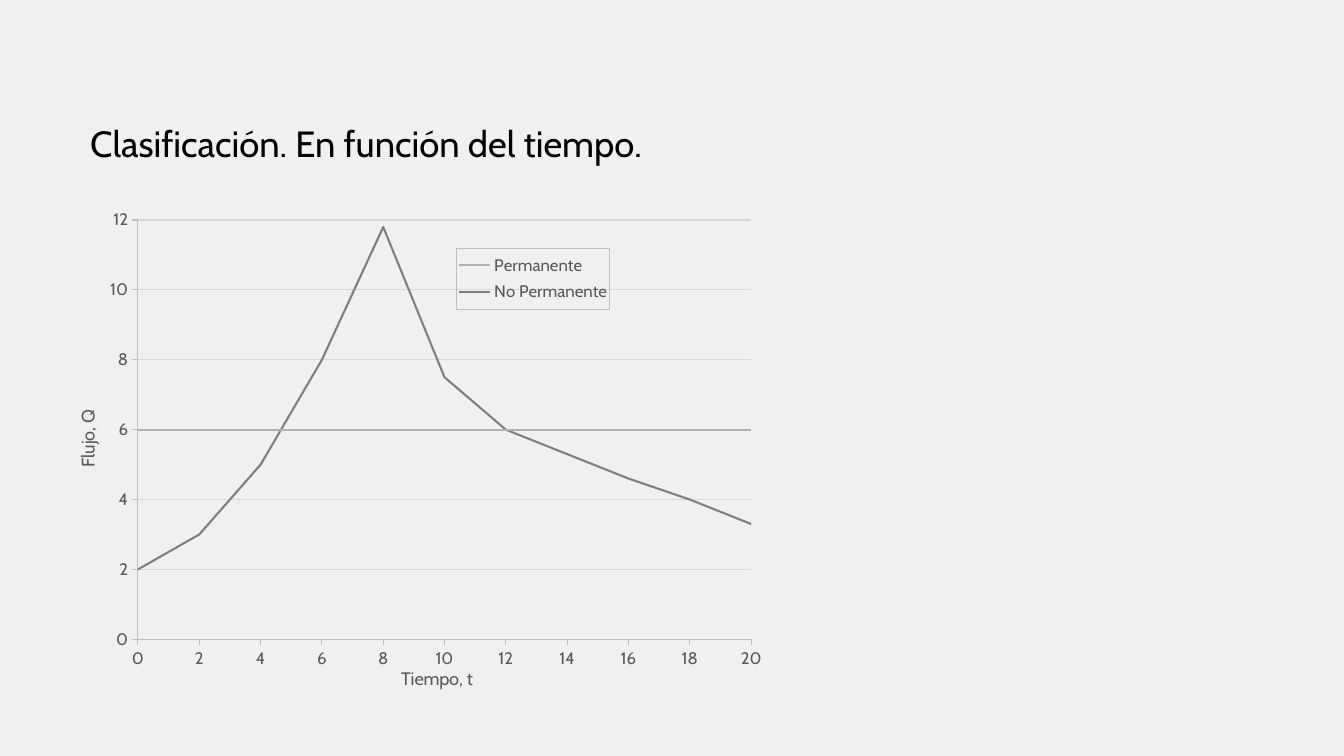
from lxml import etree
from pptx import Presentation
from pptx.chart.data import XyChartData
from pptx.dml.color import RGBColor
from pptx.enum.chart import XL_CHART_TYPE, XL_LEGEND_POSITION, XL_TICK_MARK
from pptx.enum.text import MSO_ANCHOR, MSO_AUTO_SIZE, PP_ALIGN
from pptx.oxml import parse_xml
from pptx.oxml.ns import nsdecls, qn
from pptx.util import Pt

SMOOTH = XL_CHART_TYPE.XY_SCATTER_SMOOTH_NO_MARKERS
RIGHT = XL_LEGEND_POSITION.RIGHT
OUTSIDE, NO_TICK = XL_TICK_MARK.OUTSIDE, XL_TICK_MARK.NONE
PX = 12192000 / 1344
FONT = "Cabin"
BACKGROUND = RGBColor(0xF0, 0xF0, 0xF0)
BLACK = RGBColor(0, 0, 0)
TEXT_GRAY = RGBColor(0x59, 0x59, 0x59)
AXIS_GRAY = RGBColor(0xBF, 0xBF, 0xBF)
GRID_GRAY = RGBColor(0xD9, 0xD9, 0xD9)
STEADY_GRAY = RGBColor(0xB2, 0xB2, 0xB2)
UNSTEADY_GRAY = RGBColor(0x80, 0x80, 0x80)

TIMES = range(0, 21, 2)
FLOWS = [
    ("Permanente", [6] * len(TIMES), STEADY_GRAY),
    ("No Permanente", [2, 3, 5, 8, 11.8, 7.5, 6, 5.3, 4.6, 4, 3.3], UNSTEADY_GRAY),
]


def px(*lengths):
    return [round(n * PX) for n in lengths]


def place(element, index, **values):
    """Give a chart part a manual layout, in fractions of the chart."""
    for old in element.findall(qn("c:layout")):
        element.remove(old)
    layout = etree.Element(qn("c:layout"))
    manual = etree.SubElement(layout, qn("c:manualLayout"))
    for tag, value in values.items():
        etree.SubElement(manual, qn("c:" + tag)).set("val", str(value))
    element.insert(index, layout)


prs = Presentation()
prs.slide_width, prs.slide_height = px(1344, 756)
s = prs.slides.add_slide(prs.slide_layouts[5])
s.background.fill.solid()
s.background.fill.fore_color.rgb = BACKGROUND

# Title
title = s.shapes.title
title.left, title.top, title.width, title.height = px(80, 80, 754, 90)
tf = title.text_frame
tf.text = "Clasificación. En función del tiempo."
tf.word_wrap = True
tf.auto_size = MSO_AUTO_SIZE.NONE
tf.vertical_anchor = MSO_ANCHOR.BOTTOM
p = tf.paragraphs[0]
p.alignment = PP_ALIGN.LEFT
p.line_spacing = 0.9
r = p.runs[0]
r.font.name, r.font.size = FONT, Pt(26)
r.font.color.rgb = BLACK

# Flow chart over time
data = XyChartData()
for name, flows, color in FLOWS:
    series = data.add_series(name)
    for time, flow in zip(TIMES, flows):
        series.add_data_point(time, flow)
chart = s.shapes.add_chart(SMOOTH, *px(65, 202, 730, 493), data).chart
chart.has_title = False
chart.font.name, chart.font.size = FONT, Pt(10)
chart.font.color.rgb = BLACK
place(chart.plots[0]._element.getparent(), 0, layoutTarget="inner",
      xMode="edge", yMode="edge", x=0.1, y=0.037, w=0.84, h=0.859)

chart.plots[0].vary_by_categories = False
for series, (name, flows, color) in zip(chart.plots[0].series, FLOWS):
    series.format.line.color.rgb = color
    series.format.line.width = Pt(1.5)

# Axes
for axis, text, maximum, x, y in [
    (chart.category_axis, "Tiempo, t", 20, 0.456, 0.945),
    (chart.value_axis, "Flujo, Q", 12, 0.01, 0.42),
]:
    axis.minimum_scale, axis.maximum_scale, axis.major_unit = 0, maximum, 2
    axis.major_tick_mark, axis.minor_tick_mark = OUTSIDE, NO_TICK
    axis.format.line.color.rgb = AXIS_GRAY
    axis.format.line.width = Pt(0.75)
    axis.tick_labels.number_format = "General"
    axis.tick_labels.number_format_is_linked = False
    tf = axis.axis_title.text_frame
    tf.text = text
    title_font = tf.paragraphs[0].runs[0].font
    for font, size in [(axis.tick_labels.font, 12), (title_font, 13)]:
        font.name, font.size, font.bold = FONT, Pt(size), False
        font.color.rgb = TEXT_GRAY
    place(axis.axis_title._element, 1, xMode="edge", yMode="edge", x=x, y=y)

body = chart.value_axis.axis_title.text_frame._txBody.find(qn("a:bodyPr"))
body.set("rot", "-5400000")
body.set("vert", "horz")
chart.category_axis.has_major_gridlines = False
chart.value_axis.has_major_gridlines = True
grid = chart.value_axis.major_gridlines.format.line
grid.color.rgb = GRID_GRAY
grid.width = Pt(0.75)

# Legend
chart.has_legend = True
legend = chart.legend
legend.position = RIGHT
legend.include_in_layout = False
legend.font.name, legend.font.size = FONT, Pt(12)
legend.font.color.rgb = TEXT_GRAY
place(legend._element, 1, xMode="edge", yMode="edge",
      x=0.536, y=0.095, w=0.21, h=0.125)
legend._element.find(qn("c:txPr")).addprevious(parse_xml(
    f'<c:spPr {nsdecls("c", "a")}><a:ln w="9525"><a:solidFill>'
    f'<a:srgbClr val="{AXIS_GRAY}"/></a:solidFill></a:ln></c:spPr>'))

prs.save("out.pptx")
